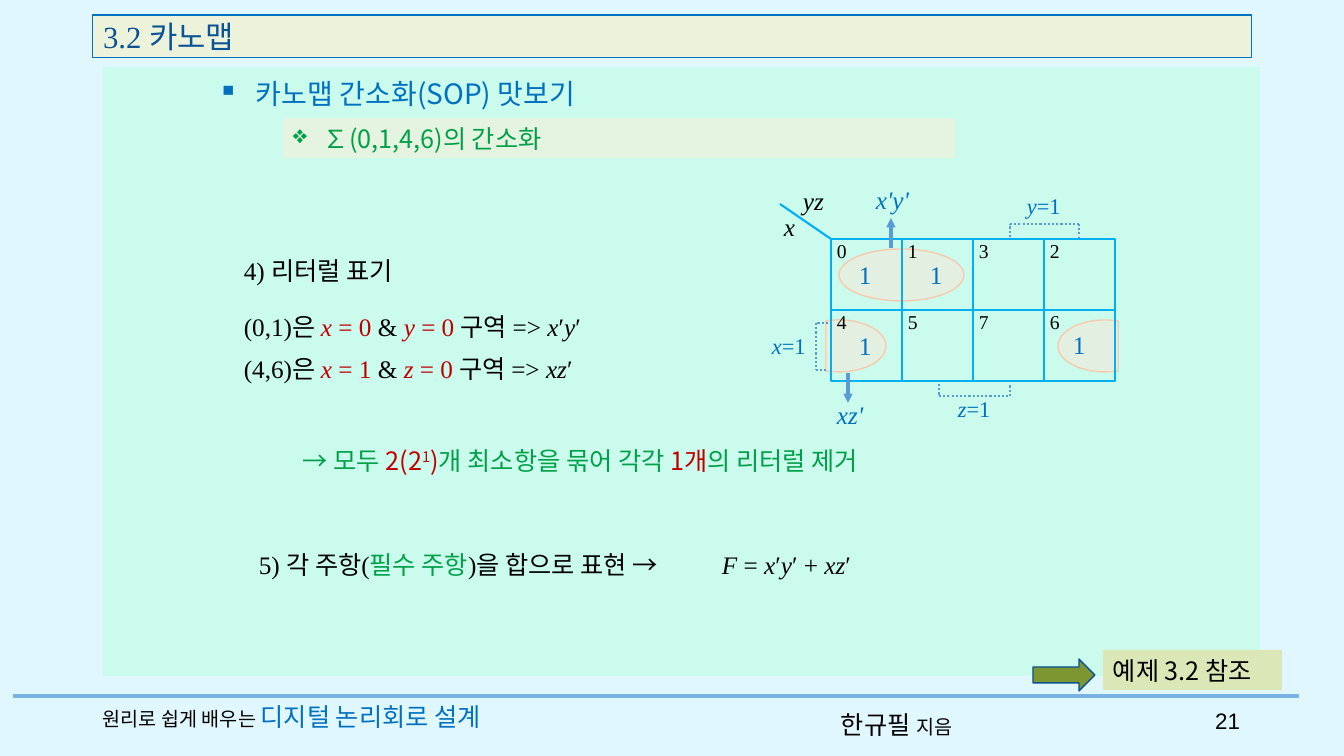
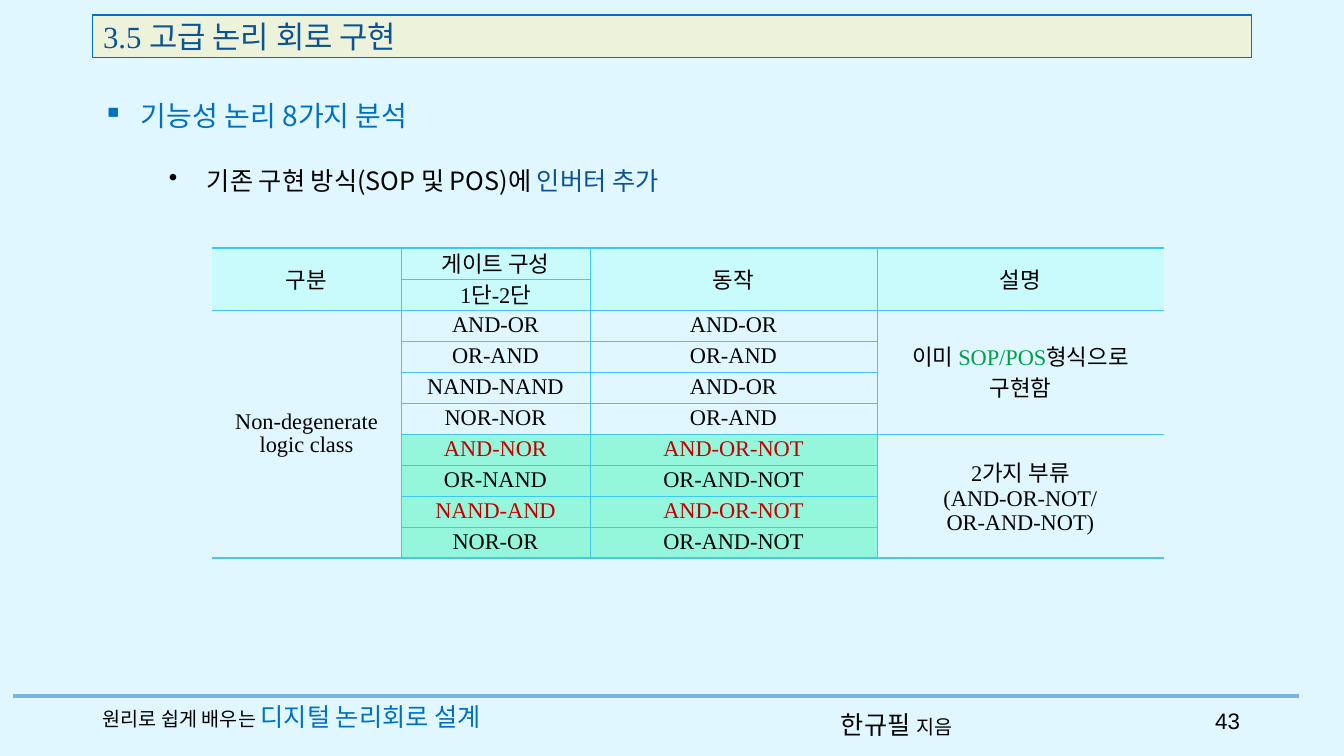
from itertools import pairwise, product

from lxml.etree import SubElement
from pptx import Presentation
from pptx.dml.color import RGBColor
from pptx.enum.dml import MSO_LINE
from pptx.enum.shapes import MSO_CONNECTOR as CONNECTOR, MSO_SHAPE as SHAPE
from pptx.enum.text import MSO_ANCHOR as ANCHOR, PP_ALIGN as ALIGN
from pptx.oxml.ns import qn
from pptx.util import Pt

EMU_PER_PX = 914400 / 100.8

SERIF, SANS, NUMBER = "Times New Roman", "Noto Sans CJK KR", "Arial"

BLACK = RGBColor(0x00, 0x00, 0x00)
BLUE = RGBColor(0x00, 0x70, 0xC0)
NAVY = RGBColor(0x0B, 0x53, 0x94)
GREEN = RGBColor(0x00, 0xA0, 0x48)
RED = RGBColor(0xC0, 0x00, 0x00)
PAGE = RGBColor(0xE1, 0xF7, 0xFF)
RULE = RGBColor(0x78, 0xB3, 0xE2)
TITLE_FILL = RGBColor(0xED, 0xF3, 0xDB)
PANEL = RGBColor(0xCA, 0xFB, 0xED)
TOPIC_FILL = RGBColor(0xE5, 0xF4, 0xE0)
GRID = RGBColor(0x00, 0xB0, 0xF0)
MARK = RGBColor(0x5B, 0x9B, 0xD5)
LOOP_FILL = RGBColor(0xFB, 0xE5, 0xD6)
LOOP_LINE = RGBColor(0xF8, 0xCB, 0xAD)
ARROW_FILL = RGBColor(0x7E, 0x96, 0x32)
ARROW_LINE = RGBColor(0x0B, 0x52, 0x92)
NOTE_FILL = RGBColor(0xDB, 0xE7, 0xB6)
HEADER_FILL = RGBColor(0xC9, 0xFA, 0xFC)
ADDED_FILL = RGBColor(0x94, 0xF7, 0xDC)
BORDER = RGBColor(0x42, 0xC7, 0xF1)

ITALIC = {"italic": True}
RED_TEXT = {"color": RED}
RED_ITALIC = RED_TEXT | ITALIC
GREEN_TEXT = {"color": GREEN}


def px(length):
    return round(length * EMU_PER_PX)


def style(size, name=SERIF, color=BLACK, **more):
    return {"size": Pt(size), "name": name, "color": color} | more


def write_run(paragraph, text, formats):
    for index, line in enumerate(text.split("\n")):
        if index:
            paragraph.add_line_break()
        run = paragraph.add_run()
        run.text = line
        for key, value in formats.items():
            if key == "color":
                run.font.color.rgb = value
            elif key == "baseline":
                run.font._element.set("baseline", str(value))
            else:
                setattr(run.font, key, value)
        latin = run.font._element.find(qn("a:latin"))
        latin.addnext(latin.makeelement(qn("a:ea"), {"typeface": SANS}))


def write_text(frame, paragraphs, base, layout=None, bullet=None, tab=None):
    for index, runs in enumerate(paragraphs):
        paragraph = frame.add_paragraph() if index else frame.paragraphs[0]
        for key, value in (layout or {}).items():
            setattr(paragraph, key, value)
        properties = paragraph._p.get_or_add_pPr()
        if bullet:
            char, margin, hanging = bullet
            properties.set("marL", str(px(margin)))
            properties.set("indent", str(-px(hanging)))
            SubElement(properties, qn("a:buChar"), char=char)
        if tab:
            tabs = SubElement(properties, qn("a:tabLst"))
            SubElement(tabs, qn("a:tab"), pos=str(px(tab)), algn="l")
        for text, formats in runs:
            write_run(paragraph, text, base | formats)


def add_text(slide, box, paragraphs, base, fill=None, wrap=True, anchor=ANCHOR.TOP, **options):
    shape = slide.shapes.add_textbox(*map(px, box))
    shape.text_frame.word_wrap = wrap
    shape.text_frame.vertical_anchor = anchor
    if fill is not None:
        shape.fill.solid()
        shape.fill.fore_color.rgb = fill
    write_text(shape.text_frame, paragraphs, base, **options)


def add_box(slide, kind, box, fill=None, line=None, width=1, alpha=None):
    shape = slide.shapes.add_shape(kind, *map(px, box))
    shape.shadow.inherit = False
    if fill is None:
        shape.fill.background()
    else:
        shape.fill.solid()
        shape.fill.fore_color.rgb = fill
    if alpha:
        color = shape._element.spPr.find(qn("a:solidFill"))[0]
        SubElement(color, qn("a:alpha"), val=str(alpha * 1000))
    if line is None:
        shape.line.fill.background()
    else:
        shape.line.color.rgb = line
        shape.line.width = Pt(width)
    return shape


def add_line(slide, start, end, color, width, dash=None, arrow=False):
    connector = slide.shapes.add_connector(CONNECTOR.STRAIGHT, *map(px, (*start, *end)))
    connector.line.color.rgb = color
    connector.line.width = Pt(width)
    if dash:
        connector.line.dash_style = dash
    if arrow:
        SubElement(connector.get_or_add_ln(), qn("a:tailEnd"), type="triangle")
    SubElement(connector._element.spPr, qn("a:effectLst"))


def add_page(presentation, title_text, number):
    slide = presentation.slides.add_slide(presentation.slide_layouts[5])
    title = slide.shapes.title
    box = dict(zip(("left", "top", "width", "height"), map(px, (93, 15, 1159, 43))))
    for key, value in box.items():
        setattr(title, key, value)
    title.fill.solid()
    title.fill.fore_color.rgb = TITLE_FILL
    title.line.color.rgb = BLUE
    title.line.width = Pt(0.75)
    title.text_frame.vertical_anchor = ANCHOR.MIDDLE
    write_text(title.text_frame, [[(title_text, {})]], style(22, color=NAVY), {"alignment": ALIGN.LEFT})

    add_line(slide, (13, 696), (1299, 696), RULE, 2.5)
    book = [("원리로 쉽게 배우는 ", {}), ("디지털 논리회로 설계", style(18, color=BLUE))]
    add_text(slide, (93, 696, 467, 40), [book], style(14), anchor=ANCHOR.MIDDLE)
    author = [("한규필 ", {}), ("지음", {"size": Pt(14)})]
    add_text(slide, (831, 704, 154, 40), [author], style(18, SANS))
    add_text(slide, (1188, 701, 62, 40), [[(str(number), {})]], style(16, NUMBER),
             anchor=ANCHOR.MIDDLE, layout={"alignment": ALIGN.RIGHT})
    return slide


def add_karnaugh_map(slide, left, top, cell=71):
    def at(x, y, *size):
        return (left + x, top + y, *size)

    def label(x, y, runs, base, width=33):
        add_text(slide, at(x, y, width, 40), [runs], base, wrap=False)

    loops = (
        (SHAPE.CHORD, (-39, 81, 94, 52), (145.2, 70.8)),
        (SHAPE.CHORD, (227, 81, 94, 52), (37.2, 178.8)),
        (SHAPE.OVAL, (8, 10, 125, 52), ()),
    )
    for kind, box, angles in loops:
        loop = add_box(slide, kind, at(*box), LOOP_FILL, LOOP_LINE, alpha=50)
        for index, angle in enumerate(angles):
            loop.adjustments[index] = angle

    for (row, column), minterm in zip(product(range(2), range(4)), "01324576"):
        x, y = column * cell, row * cell
        add_box(slide, SHAPE.RECTANGLE, at(x, y, cell, cell), line=GRID, width=1.5)
        label(x - 4, y - 5, [(minterm, {})], style(14), 30)
    add_line(slide, at(-51, -35), at(0, 0), GRID, 1.5)

    for x, y in ((18, 15), (89, 15), (18, 86), (232, 85)):
        label(x, y, [("1", {})], style(18, color=BLUE))
    for x, y, name, width, color in (
        (-57, -33, "x", 31, BLACK), (-38, -59, "yz", 41, BLACK),
        (-4, 155, "xz'", 47, BLUE), (35, -60, "x'y'", 55, BLUE),
    ):
        label(x, y, [(name, ITALIC)], style(18, color=color), width)
    for x, y, name in ((-69, 88, "x"), (186, -52, "y"), (117, 151, "z")):
        label(x, y, [(name, ITALIC), ("=1", {})], style(16, color=BLUE), 54)

    brackets = (
        ((179, -2), (179, -15), (248, -15), (248, -2)),
        ((108, 145), (108, 157), (179, 157), (179, 145)),
        ((-3, 84), (-15, 84), (-15, 131), (-3, 131)),
    )
    for corners in brackets:
        for start, end in pairwise(corners):
            add_line(slide, at(*start), at(*end), MARK, 1.5, dash=MSO_LINE.ROUND_DOT)
    for start, end in (((17, 134), (17, 164)), ((60, 9), (60, -21))):
        add_line(slide, at(*start), at(*end), MARK, 2.25, arrow=True)


def add_literal_steps(slide, left, top):
    def zone(minterms, first, first_value, second):
        return [(f"{minterms}은 ", {}), (f"{first} ", RED_ITALIC), (f"= {first_value}", RED_TEXT),
                (" & ", {}), (f"{second} ", RED_ITALIC), ("= 0 ", RED_TEXT), ("구역 => ", {})]

    prime = ("′", {})
    product_xy = [("x", ITALIC), prime, ("y", ITALIC), prime]
    product_xz = [("xz", ITALIC), prime]
    zones = [*zone("(0,1)", "x", 0, "y"), *product_xy, ("\n", {}),
             *zone("(4,6)", "x", 1, "z"), *product_xz]
    add_text(slide, (left, top, 512, 145), [[("4) 리터럴 표기", {})], zones], style(18),
             layout={"line_spacing": 1.4, "space_before": Pt(10)})

    removal = [("→ 모두 ", {}), ("2(2", RED_TEXT), ("1", RED_TEXT | {"baseline": 30000}),
               (")", RED_TEXT), ("개 최소항을 묶어 각각 ", {}), ("1개", RED_TEXT), ("의 리터럴 제거", {})]
    add_text(slide, (left + 59, top + 202, 689, 40), [removal], style(18, SANS, GREEN))

    total = [("5) 각 주항(", {}), ("필수 주항", GREEN_TEXT), (")을 합으로 표현 →\t", {}),
             ("F ", ITALIC), ("= ", {}), *product_xy, (" + ", {}), *product_xz]
    add_text(slide, (left + 15, top + 310, 830, 38), [total], style(18), tab=463,
             layout={"line_spacing": 0.9, "space_before": Pt(10)})


def build_map_slide(presentation):
    slide = add_page(presentation, "3.2 카노맵", 21)
    add_box(slide, SHAPE.RECTANGLE, (103, 67, 1157, 609), PANEL)
    add_text(slide, (208, 72, 1159, 44), [[("카노맵 간소화(SOP) 맛보기", {})]],
             style(20, SANS, BLUE), bullet=("▪", 38, 38))
    add_text(slide, (283, 118, 672, 40), [[("∑(0,1,4,6)의 간소화", {})]],
             style(18, SANS, GREEN), fill=TOPIC_FILL, bullet=("❖", 31, 31))
    add_literal_steps(slide, 234, 238)
    add_karnaugh_map(slide, 831, 239)
    add_box(slide, SHAPE.RIGHT_ARROW, (1033, 659, 62, 32), ARROW_FILL, ARROW_LINE)
    add_text(slide, (1103, 650, 179, 40), [[("예제 3.2 참조", {})]], style(18, SANS), fill=NOTE_FILL)


def set_borders(cell, widths):
    properties = cell._tc.get_or_add_tcPr()
    for index, (side, width) in enumerate(widths.items()):
        line = properties.makeelement(qn(f"a:ln{side}"), {"w": str(Pt(width))})
        properties.insert(index, line)
        if width:
            SubElement(SubElement(line, qn("a:solidFill")), qn("a:srgbClr"), val=str(BORDER))
        else:
            SubElement(line, qn("a:noFill"))


def add_gate_table(slide, left, top):
    column_widths, row_height = (189, 189, 287, 287), 31
    gates = (
        ("AND-OR", "AND-OR"), ("OR-AND", "OR-AND"), ("NAND-NAND", "AND-OR"), ("NOR-NOR", "OR-AND"),
        ("AND-NOR", "AND-OR-NOT"), ("OR-NAND", "OR-AND-NOT"),
        ("NAND-AND", "AND-OR-NOT"), ("NOR-OR", "OR-AND-NOT"),
    )
    texts = {
        (0, 0): [[("구분", {})]],
        (0, 1): [[("게이트 구성", {})]],
        (1, 1): [[("1단-2단", {})]],
        (0, 2): [[("동작", {})]],
        (0, 3): [[("설명", {})]],
        (2, 0): [[("Non-degenerate logic class", {})]],
        (2, 3): [[("이미 ", {}), ("SOP/POS", GREEN_TEXT), ("형식으로 구현함", {})]],
        (6, 3): [[("2가지 부류", {})], [("(AND-OR-NOT/\nOR-AND-NOT)", {})]],
    }
    for row, names in enumerate(gates, 2):
        for column, name in enumerate(names, 1):
            texts[row, column] = [[(name, RED_TEXT if row in (6, 8) else {})]]

    last_row, last_column = len(gates) + 1, len(column_widths) - 1
    box = (left, top, sum(column_widths), row_height * (last_row + 1))
    table = slide.shapes.add_table(last_row + 1, last_column + 1, *map(px, box)).table
    table.first_row = table.horz_banding = False
    for column, width in zip(table.columns, column_widths):
        column.width = px(width)
    for row in table.rows:
        row.height = px(row_height)
    for column, first, last in ((0, 0, 1), (2, 0, 1), (3, 0, 1), (0, 2, 9), (3, 2, 5), (3, 6, 9)):
        table.cell(first, column).merge(table.cell(last, column))

    cell_format = {"margin_left": px(7), "margin_right": px(7), "margin_top": 0,
                   "margin_bottom": 0, "vertical_anchor": ANCHOR.MIDDLE}
    thin, thick = 0.28, 1.7
    for row, column in product(range(last_row + 1), range(last_column + 1)):
        cell = table.cell(row, column)
        for key, value in cell_format.items():
            setattr(cell, key, value)
        if row < 2 or (row > 5 and column in (1, 2)):
            cell.fill.solid()
            cell.fill.fore_color.rgb = HEADER_FILL if row < 2 else ADDED_FILL
        else:
            cell.fill.background()
        bottom_row = row + (cell.span_height if cell.is_merge_origin else 1) - 1
        set_borders(cell, {
            "L": thin if column else 0,
            "R": thin if column < last_column else 0,
            "T": thin if row else thick,
            "B": thin if bottom_row < last_row else thick,
        })
        if (row, column) in texts:
            write_text(cell.text_frame, texts[row, column], style(16),
                       {"alignment": ALIGN.CENTER, "line_spacing": 0.95})


def build_gate_slide(presentation):
    slide = add_page(presentation, "3.5 고급 논리 회로 구현", 43)
    spacing = {"line_spacing": 1.5}
    add_text(slide, (93, 77, 672, 54), [[("기능성 논리 8가지 분석", {})]],
             style(20, SANS, BLUE), layout=spacing, bullet=("▪", 38, 38))
    method = [("기존 구현 방식(SOP 및 POS)에 ", {}), ("인버터 추가", {"color": NAVY})]
    add_text(slide, (108, 145, 1159, 50), [method], style(18, SANS),
             layout=spacing, bullet=("•", 89, 38))
    add_gate_table(slide, 212, 248)


def main():
    presentation = Presentation()
    presentation.slide_width, presentation.slide_height = px(1344), px(756)
    background = presentation.slide_master.background.fill
    background.solid()
    background.fore_color.rgb = PAGE
    build_map_slide(presentation)
    build_gate_slide(presentation)
    presentation.save("out.pptx")


if __name__ == "__main__":
    main()
